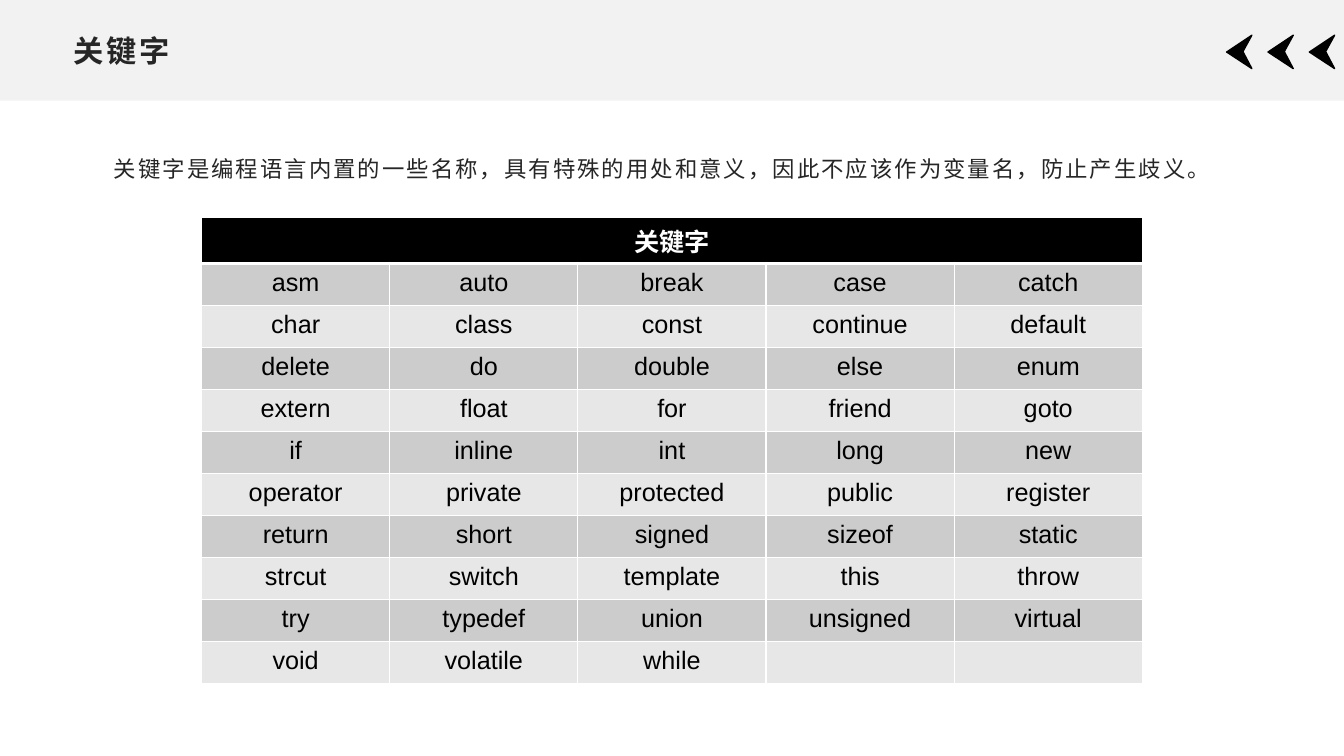
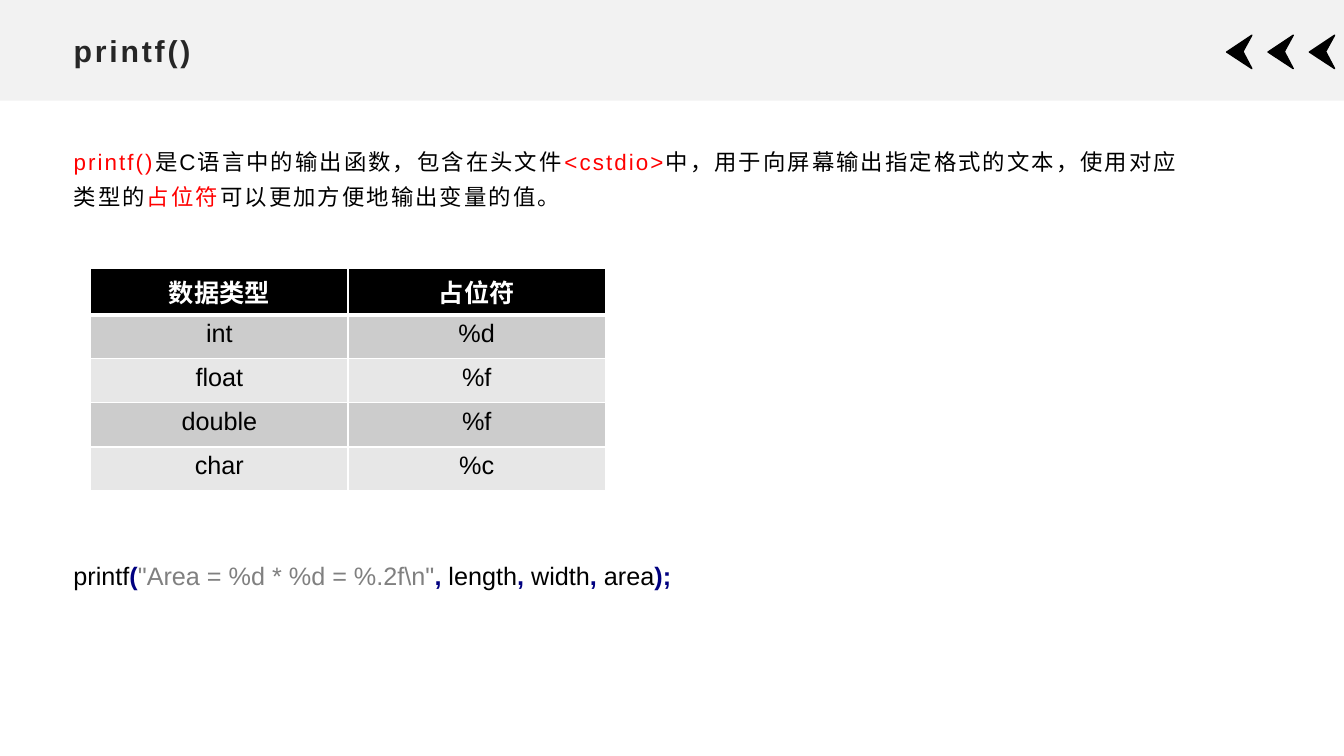
from dataclasses import dataclass

from lxml.etree import SubElement
from pptx import Presentation
from pptx.dml.color import RGBColor
from pptx.enum.lang import MSO_LANGUAGE_ID
from pptx.enum.shapes import MSO_SHAPE
from pptx.enum.text import MSO_ANCHOR, MSO_AUTO_SIZE, PP_ALIGN
from pptx.oxml.ns import qn
from pptx.util import Pt


@dataclass(frozen=True)
class Theme:
    font: str = "Arial"
    title_size: float = 21.6
    body_size: float = 16
    code_size: float = 18
    table_size: float = 18
    title_spacing: float = 2
    body_spacing: float = 1.5
    ink: str = "262626"
    black: str = "000000"
    white: str = "FFFFFF"
    band: str = "F2F2F2"
    accent: str = "FF0000"
    punctuation: str = "000080"
    literal: str = "808080"
    stripes: tuple = ("CCCCCC", "E7E7E7")


class Deck:
    """Holds the theme, the presentation and the slide being filled."""

    def __init__(self, theme):
        self.theme = theme
        self.presentation = Presentation()
        self.presentation.slide_width = Pt(960)
        self.presentation.slide_height = Pt(540)
        self.layout = self.presentation.slide_layouts[1]
        self.slide = None

    def start_slide(self, title):
        first = self.slide is None
        self.slide = self.presentation.slides.add_slide(self.layout)
        if first:
            self.add_header_to_layout()
        heading = self.slide.shapes.title
        self.place(heading, 45.4, 18.7, 869, 34.6)
        frame = heading.text_frame
        frame.vertical_anchor = MSO_ANCHOR.MIDDLE
        frame.text = title
        frame.paragraphs[0].alignment = PP_ALIGN.LEFT
        self.style(frame.paragraphs[0].runs[0], self.theme.title_size,
                   self.theme.ink, True, self.theme.title_spacing)

    def add_header_to_layout(self):
        shapes = self.slide.shapes
        band = shapes.add_shape(MSO_SHAPE.RECTANGLE, 0, 0, Pt(960), Pt(72))
        self.paint(band, self.theme.band)
        band.line.fill.background()
        header = [band]
        for index in range(3):
            left = 876.2 + index * 29.55
            tip, notch, tail = Pt(left), Pt(left + 11.6), Pt(left + 18)
            builder = shapes.build_freeform(tail, Pt(49))
            builder.add_line_segments(
                [(tip, Pt(37.2)), (tail, Pt(25.2)), (notch, Pt(36.9))])
            arrow = builder.convert_to_shape()
            self.paint(arrow, self.theme.black)
            arrow.line.color.rgb = RGBColor.from_string(self.theme.black)
            arrow.line.width = Pt(1)
            header.append(arrow)
        layout_tree = self.layout.placeholders[0].element.getparent()
        for depth, part in enumerate(header, start=2):
            layout_tree.insert(depth, part.element)

    def add_body(self, left, top, width, height, pieces):
        body = self.slide.placeholders[1]
        self.place(body, left, top, width, height)
        paragraph = body.text_frame.paragraphs[0]
        paragraph.line_spacing = 1.3
        paragraph.space_before = Pt(0)
        paragraph.space_after = Pt(10)
        properties = paragraph._p.get_or_add_pPr()
        properties.set("marL", "0")
        properties.set("indent", "0")
        SubElement(properties, qn("a:buNone"))
        for text, color in pieces:
            run = paragraph.add_run()
            run.text = text
            self.style(run, self.theme.body_size, color,
                       spacing=self.theme.body_spacing)

    def add_code(self, left, top, width, height, tokens):
        code = self.slide.shapes.add_textbox(0, 0, 0, 0)
        self.place(code, left, top, width, height)
        for text, color in tokens:
            run = code.text_frame.paragraphs[0].add_run()
            run.text = text
            self.style(run, self.theme.code_size, color,
                       color == self.theme.punctuation)

    def add_table(self, left, top, column_width, row_height, header, rows):
        columns = len(rows[0])
        table = self.slide.shapes.add_table(
            len(rows) + 1, columns, Pt(left), Pt(top),
            Pt(column_width * columns), Pt(row_height * (len(rows) + 1))).table
        for column in table.columns:
            column.width = Pt(column_width)
        for row in table.rows:
            row.height = Pt(row_height)
        for row_index, words in enumerate([header, *rows]):
            for column_index in range(columns):
                word = words[column_index] if column_index < len(words) else ""
                self.fill_cell(table.cell(row_index, column_index), word, row_index)
        if len(header) == 1:
            table.cell(0, 0).merge(table.cell(0, columns - 1))

    def fill_cell(self, cell, word, row_index):
        is_header = row_index == 0
        properties = cell._tc.get_or_add_tcPr()
        thick_side = {0: "lnB", 1: "lnT"}.get(row_index)
        for side in ("lnL", "lnR", "lnT", "lnB"):
            width = Pt(3 if side == thick_side else 1)
            border = SubElement(properties, qn(f"a:{side}"), w=str(int(width)))
            fill = SubElement(border, qn("a:solidFill"))
            SubElement(fill, qn("a:srgbClr"), val=self.theme.white)
        background = (self.theme.black if is_header
                      else self.theme.stripes[(row_index - 1) % 2])
        cell.fill.solid()
        cell.fill.fore_color.rgb = RGBColor.from_string(background)
        cell.text_frame.text = word
        paragraph = cell.text_frame.paragraphs[0]
        paragraph.alignment = PP_ALIGN.CENTER
        for run in paragraph.runs:
            self.style(run, self.theme.table_size,
                       self.theme.white if is_header else self.theme.black,
                       is_header)

    def place(self, shape, left, top, width, height):
        shape.left, shape.top = Pt(left), Pt(top)
        shape.width, shape.height = Pt(width), Pt(height)
        shape.text_frame.word_wrap = True
        shape.text_frame.auto_size = MSO_AUTO_SIZE.NONE

    def paint(self, shape, color):
        shape.shadow.inherit = False
        shape.fill.solid()
        shape.fill.fore_color.rgb = RGBColor.from_string(color)

    def style(self, run, size, color, bold=False, spacing=0):
        font = run.font
        font.name = self.theme.font
        font.size = Pt(size)
        font.bold = bold
        font.color.rgb = RGBColor.from_string(color)
        font.language_id = MSO_LANGUAGE_ID.SIMPLIFIED_CHINESE
        if spacing:
            run._r.get_or_add_rPr().set("spc", str(int(spacing * 100)))


KEYWORDS = """
asm auto break case catch
char class const continue default
delete do double else enum
extern float for friend goto
if inline int long new
operator private protected public register
return short signed sizeof static
strcut switch template this throw
try typedef union unsigned virtual
void volatile while
"""


def build_keywords(deck):
    deck.start_slide("关键字")
    deck.add_body(74.2, 101.5, 812, 45.4, [
        ("关键字是编程语言内置的一些名称，具有特殊的用处和意义，因此不应该作为变量名，防止产生歧义。",
         deck.theme.ink)])
    rows = [line.split() for line in KEYWORDS.strip().splitlines()]
    deck.add_table(144, 155, 134.4, 30, ["关键字"], rows)


def build_printf(deck):
    theme = deck.theme
    deck.start_slide("printf()")
    deck.add_body(45.4, 96.5, 813, 70.6, [
        ("printf()", theme.accent),
        ("是C语言中的输出函数，包含在头文件", theme.black),
        ("<cstdio>", theme.accent),
        ("中，用于向屏幕输出指定格式的文本，使用对应类型的", theme.black),
        ("占位符", theme.accent),
        ("可以更加方便地输出变量的值。", theme.black)])
    deck.add_table(64.8, 191.5, 183.8, 31.5, ["数据类型", "占位符"], [
        ["int", "%d"], ["float", "%f"], ["double", "%f"], ["char", "%c"]])
    deck.add_code(45.4, 396.7, 471, 28.8, [
        ("printf", theme.black),
        ("(", theme.punctuation),
        (r'"Area = %d * %d = %.2f\n"', theme.literal),
        (",", theme.punctuation),
        (" length", theme.black),
        (",", theme.punctuation),
        (" width", theme.black),
        (",", theme.punctuation),
        (" area", theme.black),
        (");", theme.punctuation)])


def main():
    deck = Deck(Theme())
    build_keywords(deck)
    build_printf(deck)
    deck.presentation.save("out.pptx")


if __name__ == "__main__":
    main()
